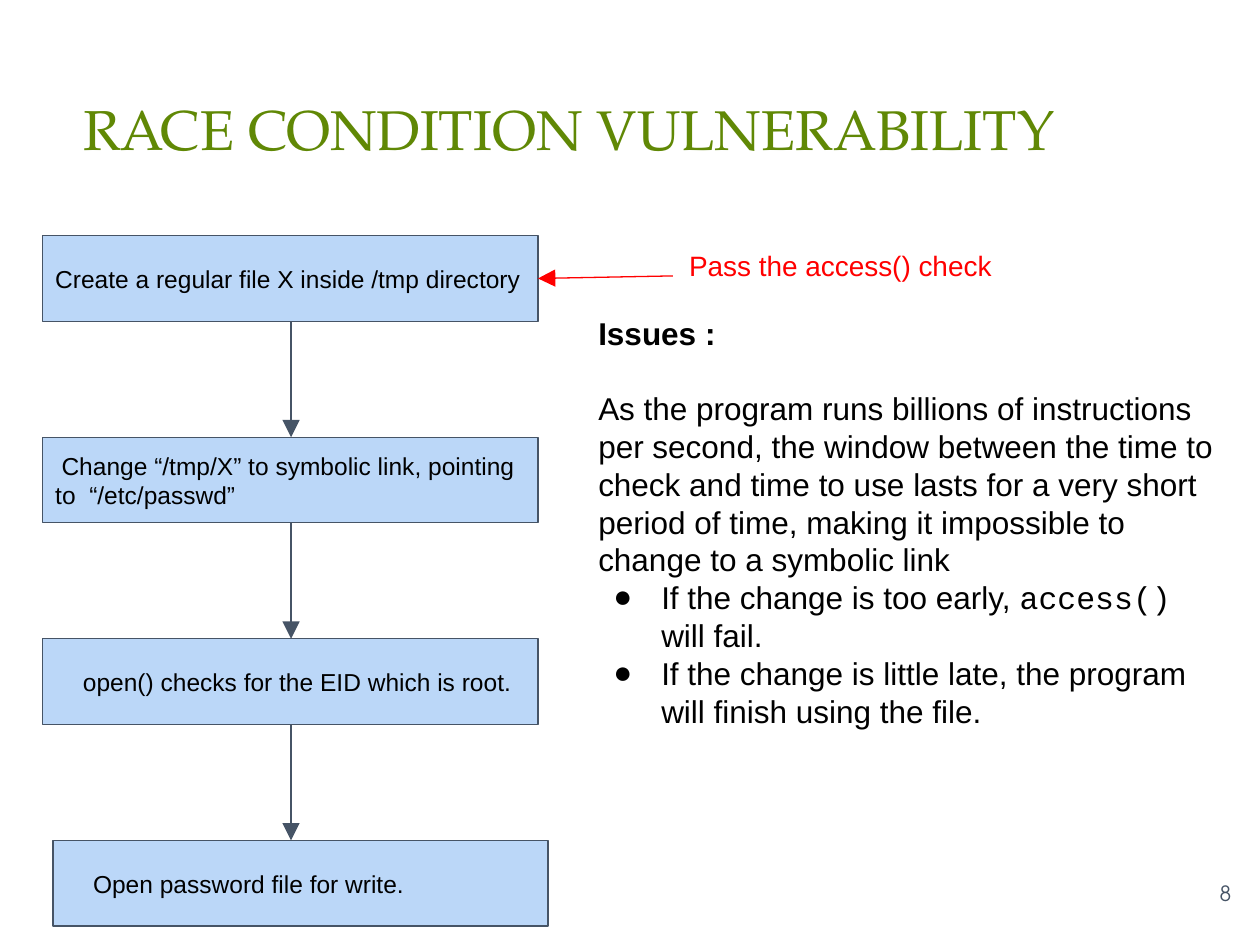
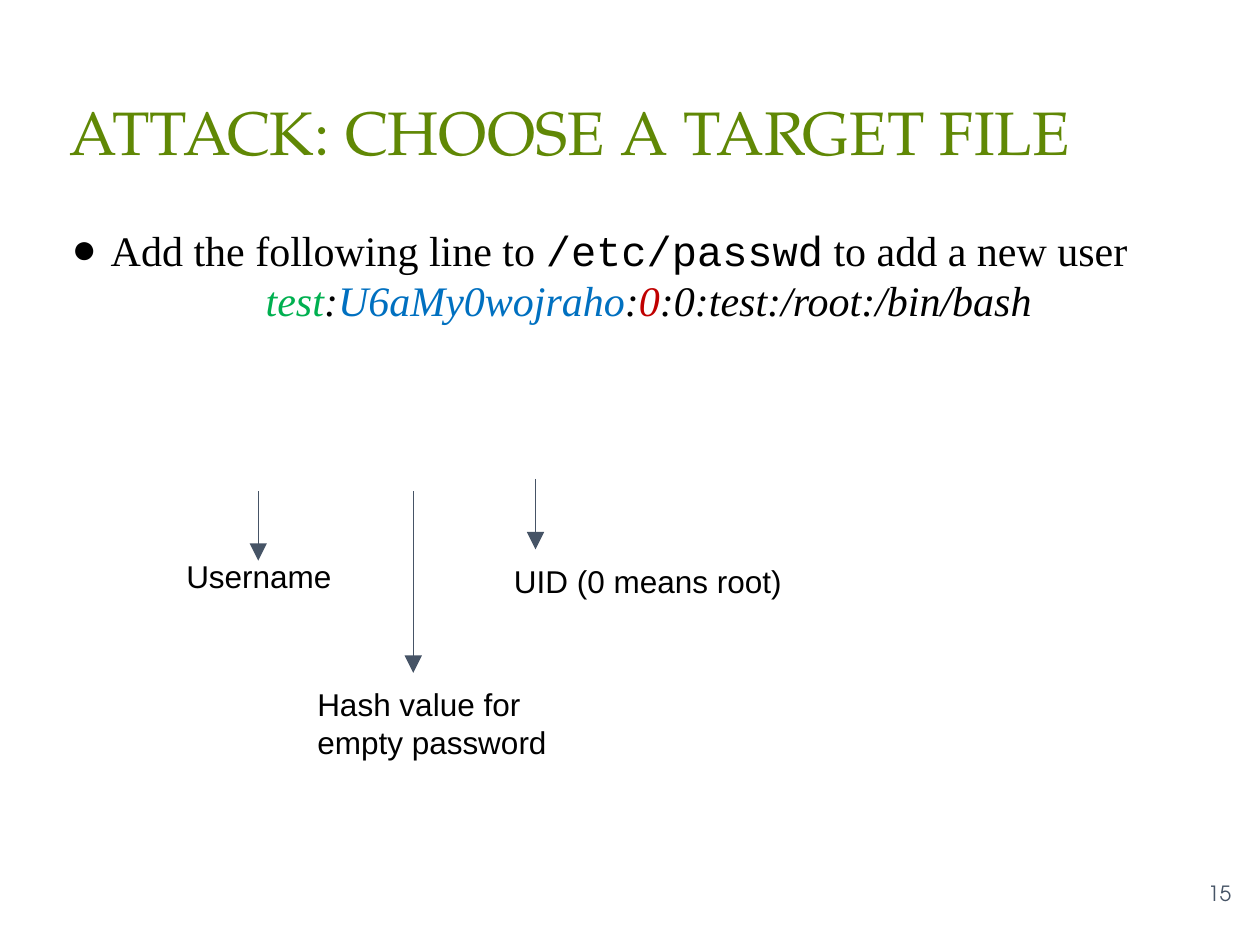
from dataclasses import dataclass

from lxml import etree
from pptx import Presentation
from pptx.dml.color import RGBColor
from pptx.enum.shapes import MSO_CONNECTOR, MSO_SHAPE
from pptx.enum.text import MSO_ANCHOR, MSO_AUTO_SIZE, PP_ALIGN
from pptx.oxml.ns import qn
from pptx.util import Inches, Pt

STRAIGHT = MSO_CONNECTOR.STRAIGHT
RECTANGLE, ROUNDED = MSO_SHAPE.RECTANGLE, MSO_SHAPE.ROUNDED_RECTANGLE
TOP, MIDDLE = MSO_ANCHOR.TOP, MSO_ANCHOR.MIDDLE
LEFT, CENTER, RIGHT = PP_ALIGN.LEFT, PP_ALIGN.CENTER, PP_ALIGN.RIGHT

WHITE = RGBColor(0xFF, 0xFF, 0xFF)
BLACK = RGBColor(0x00, 0x00, 0x00)
RED = RGBColor(0xFF, 0x00, 0x00)
OLIVE = RGBColor(0x60, 0x88, 0x05)
SLATE = RGBColor(0x46, 0x54, 0x66)
PALE_BLUE = RGBColor(0xBB, 0xD7, 0xF8)
USER_GREEN = RGBColor(0x00, 0xB0, 0x50)
HASH_BLUE = RGBColor(0x00, 0x70, 0xC0)
UID_RED = RGBColor(0xC0, 0x00, 0x00)

SANS, SERIF, MONO = "Arial", "Times New Roman", "Courier New"
TITLE_FONT, NUMBER_FONT = "TeX Gyre Pagella", "TeX Gyre Adventor"
INSET = Inches(0.1)
TITLE_LAYOUT = 5


@dataclass
class Run:
    """A stretch of text in one format."""
    text: str
    size: float = 18
    font: str = SANS
    color: RGBColor = BLACK
    bold: bool = False
    italic: bool = False


@dataclass
class Para:
    """A paragraph; margin and indent are in inches, after in points."""
    runs: list[Run]
    align: PP_ALIGN = LEFT
    margin: float = 0
    indent: float = 0
    after: float = 0
    bullet: bool = False


@dataclass
class Panel:
    """A white background panel; alpha is its opacity in percent."""
    kind: MSO_SHAPE
    box: tuple[float, float, float, float]
    alpha: int = 100


@dataclass
class Step:
    """A box of the flow chart."""
    text: str
    left: float = 0.34
    indent: float = 0


@dataclass
class Field:
    """An arrow and a label that explain one field of the password line."""
    label: str
    x: float
    start: float
    end: float
    box: tuple[float, float, float, float]
    indent: float = 0


PANELS = [
    Panel(ROUNDED, (0.1, 0.11, 9.8, 7.29)),
    Panel(RECTANGLE, (0.3, 0.3, 8.5, 1.45), alpha=83),
    Panel(RECTANGLE, (0.41, 0.41, 8.28, 1.22)),
]


def write(shape, paras: list[Para], anchor=TOP) -> None:
    """Fill the text frame of a shape with formatted paragraphs."""
    frame = shape.text_frame
    settings = {"word_wrap": True, "auto_size": MSO_AUTO_SIZE.NONE,
                "vertical_anchor": anchor, "margin_left": INSET,
                "margin_right": INSET, "margin_top": INSET,
                "margin_bottom": INSET}
    for key, value in settings.items():
        setattr(frame, key, value)
    for index, para in enumerate(paras):
        target = frame.add_paragraph() if index else frame.paragraphs[0]
        formats = {"alignment": para.align, "line_spacing": 1.0,
                   "space_before": Pt(0), "space_after": Pt(para.after)}
        for key, value in formats.items():
            setattr(target, key, value)
        indent_paragraph(target, para)
        for run in para.runs:
            add_run(target, run)


def indent_paragraph(target, para: Para) -> None:
    """Set the margin, first-line indent and bullet of a paragraph."""
    props = target._p.get_or_add_pPr()
    props.set("marL", str(Inches(para.margin)))
    props.set("indent", str(Inches(para.indent)))
    if para.bullet:
        color = etree.SubElement(props, qn("a:buClr"))
        etree.SubElement(color, qn("a:srgbClr"), val=str(BLACK))
        etree.SubElement(props, qn("a:buFont"), typeface=SANS)
        etree.SubElement(props, qn("a:buChar"), char="●")


def add_run(target, run: Run) -> None:
    """Append a formatted run to a paragraph."""
    added = target.add_run()
    added.text = run.text
    formats = {"size": Pt(run.size), "name": run.font,
               "bold": run.bold, "italic": run.italic}
    for key, value in formats.items():
        setattr(added.font, key, value)
    added.font.color.rgb = run.color


def add_text(slide, box: tuple, paras: list[Para], anchor=TOP) -> None:
    """Add a text box."""
    write(slide.shapes.add_textbox(*map(Inches, box)), paras, anchor)


def add_box(slide, kind: MSO_SHAPE, box: tuple, color: RGBColor):
    """Add a filled shape without shadow or outline."""
    shape = slide.shapes.add_shape(kind, *map(Inches, box))
    shape.shadow.inherit = False
    shape.fill.solid()
    shape.fill.fore_color.rgb = color
    shape.line.fill.background()
    return shape


def add_panel(slide, panel: Panel) -> None:
    """Add one background panel."""
    shape = add_box(slide, panel.kind, panel.box, WHITE)
    if panel.kind == ROUNDED:
        shape.adjustments[0] = 0.017
    if panel.alpha < 100:
        fill = shape._element.spPr.find(qn("a:solidFill"))
        etree.SubElement(fill[0], qn("a:alpha"), val=str(panel.alpha * 1000))


def add_arrow(slide, start: tuple, end: tuple, color: RGBColor = SLATE) -> None:
    """Add a thin straight arrow that points at its end."""
    arrow = slide.shapes.add_connector(STRAIGHT, *map(Inches, start + end))
    arrow.line.color.rgb = color
    arrow.line.width = Pt(0.75)
    etree.SubElement(arrow.line._get_or_add_ln(), qn("a:tailEnd"),
                     type="triangle", w="lg", len="lg")
    etree.SubElement(arrow._element.spPr, qn("a:effectLst"))


def add_step(slide, step: Step, top: float) -> None:
    """Add one box of the flow chart."""
    box = add_box(slide, RECTANGLE, (step.left, top, STEP_WIDTH, STEP_HEIGHT),
                  PALE_BLUE)
    box.line.color.rgb = SLATE
    box.line.width = Pt(0.75)
    write(box, [Para([Run(step.text, 14)], indent=step.indent)], MIDDLE)


def start_slide(deck, title: str, size: float, number: int):
    """Add a slide with its panels, title and slide number."""
    slide = deck.slides.add_slide(deck.slide_layouts[TITLE_LAYOUT])
    heading = slide.shapes.title
    for panel in PANELS:
        add_panel(slide, panel)
    slide.shapes._spTree.append(heading._element)  # in front of the panels
    place = {"left": 0.34, "top": 0.65, "width": 8.36, "height": 0.84}
    for key, value in place.items():
        setattr(heading, key, Inches(value))
    write(heading, [Para([Run(title, size, TITLE_FONT, OLIVE)], CENTER)])
    add_text(slide, (9.27, 6.8, 0.6, 0.57),
             [Para([Run(str(number), 12, NUMBER_FONT, SLATE)], RIGHT)], MIDDLE)
    return slide


STEP_TOP, STEP_PITCH = 1.87, 1.6
STEP_WIDTH, STEP_HEIGHT = 3.93, 0.68
FLOW_X = 2.31
STEPS = [
    Step("Create a regular file X inside /tmp directory"),
    Step("Change “/tmp/X” to symbolic link, pointing to  “/etc/passwd”",
         indent=0.05),
    Step("open() checks for the EID which is root.", indent=0.22),
    Step("Open password file for write.", left=0.42, indent=0.22),
]
BULLET = {"margin": 0.5, "indent": -0.38, "bullet": True}
ISSUES = [
    Para([Run("Issues :", bold=True)], after=21.5),
    Para([Run("As the program runs billions of instructions per second, the "
              "window between the time to check and time to use lasts for a "
              "very short period of time, making it impossible to change to "
              "a symbolic link")]),
    Para([Run("If the change is too early, "), Run("access() ", font=MONO),
          Run("will fail.")], **BULLET),
    Para([Run("If the change is little late, the program will finish using "
              "the file.")], **BULLET),
]
PASSWORD_LINE = [
    ("test", USER_GREEN), (":", BLACK), ("U6aMy0wojraho", HASH_BLUE),
    (":", BLACK), ("0", UID_RED), (":0:test:/root:/bin/bash", BLACK),
]
FIELDS = [
    Field("Username", 2.05, 3.9, 4.45, (1.33, 4.32, 1.45, 0.64), 0.05),
    Field("Hash value for empty password", 3.28, 3.9, 5.34,
          (2.42, 5.34, 2.3, 0.47)),
    Field("UID (0 means root)", 4.25, 3.8, 4.36, (3.49, 4.36, 2.95, 0.47), 0.49),
]


def build_vulnerability(deck) -> None:
    """Build the flow chart of the race condition and its issues."""
    slide = start_slide(deck, "RACE CONDITION VULNERABILITY", 32, 8)
    for index, step in enumerate(STEPS):
        top = STEP_TOP + index * STEP_PITCH
        add_step(slide, step, top)
        if index:
            add_arrow(slide, (FLOW_X, top - STEP_PITCH + STEP_HEIGHT),
                      (FLOW_X, top))
    add_arrow(slide, (5.34, 2.19), (4.27, 2.21), RED)
    add_text(slide, (5.37, 1.87, 2.61, 0.68),
             [Para([Run("Pass the access() check", 16, color=RED)])])
    add_text(slide, (4.65, 2.39, 5.1, 4.88), ISSUES)


def build_attack(deck) -> None:
    """Build the password line and the notes on its fields."""
    slide = start_slide(deck, "ATTACK: CHOOSE A TARGET FILE", 35, 15)
    instruction = [Run("Add the following line to ", 24, SERIF),
                   Run("/etc/passwd", 24, MONO),
                   Run(" to add a new user", 24, SERIF)]
    entry = [Run(text, 24, SERIF, color, italic=True)
             for text, color in PASSWORD_LINE]
    add_text(slide, (0.34, 1.68, 9.32, 4.98),
             [Para(instruction, margin=0.44, indent=-0.31, bullet=True),
              Para(entry, margin=1.67)])
    for field in FIELDS:
        add_arrow(slide, (field.x, field.start), (field.x, field.end))
        add_text(slide, field.box,
                 [Para([Run(field.label)], margin=field.indent)])


def main() -> None:
    """Build and save the deck."""
    deck = Presentation()
    deck.slide_width, deck.slide_height = Inches(10), Inches(7.5)
    build_vulnerability(deck)
    build_attack(deck)
    deck.save("out.pptx")


main()
